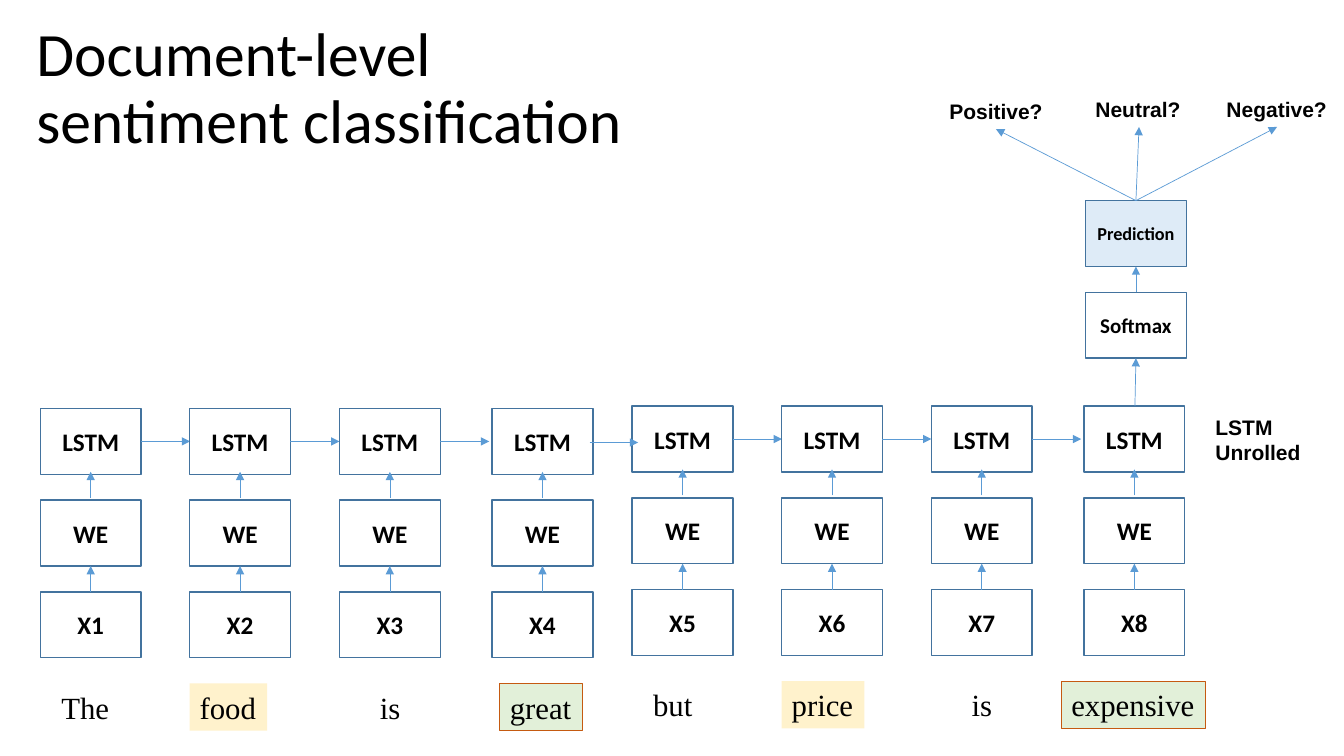
from lxml.etree import SubElement
from pptx import Presentation
from pptx.dml.color import RGBColor
from pptx.enum.shapes import MSO_CONNECTOR as Link, MSO_SHAPE as Shape
from pptx.enum.text import MSO_ANCHOR as Anchor, MSO_AUTO_SIZE as Fit, PP_ALIGN as Align
from pptx.oxml.ns import qn
from pptx.util import Pt

HUES = {
    "ink": "000000", "edge": "43739E", "arrow": "5B9BD5", "rust": "C55A11",
    "cream": "FFF2CC", "mint": "E2F0D9", "sky": "DEEBF7",
}
WIDE, HIGH = 72, 47      # box size
TOP, STEP = 291.8, 65.5  # first row of boxes, and the distance between rows
COLS = [28.8, 135.5, 242.5, 351.5]
HALVES = [(0, 0), (422.8, -1.7)]  # shift of each half of the sentence
WORDS = [  # text, left, width, fill, line
    [("The", 36.7, 49, None, None), ("food", 135.5, 55.4, "cream", None),
     ("is", 264.2, 29.5, None, None), ("great", 357.1, 59, "mint", "rust")],
    [("but", 459.4, 43.2, None, None), ("price", 558.4, 59, "cream", None),
     ("is", 686.9, 29.5, None, None), ("expensive", 758.2, 103, "mint", "rust")],
]
LABELS = [  # text, left, top, width, height
    ("LSTM\nUnrolled", 861.1, 292.3, 80, 44),
    ("Positive?", 671, 67, 82, 25.2),
    ("Neutral?", 775.4, 65.5, 76.3, 25.2),
    ("Negative?", 869, 65.5, 87.1, 25.2),
]


def hue(name):
    return RGBColor.from_string(HUES[name])


def style(font, look):
    for key, value in look.items():
        setattr(font, key, value)
    font.color.rgb = hue("ink")


def write(frame, text, look, **form):
    """Fill a text frame; form holds the frame's own settings."""
    frame.text = text
    for key, value in form.items():
        setattr(frame, key, value)
    for para in frame.paragraphs:
        for run in para.runs:
            style(run.font, look)


def paint(shape, fill, line, width):
    if fill:
        shape.fill.solid()
        shape.fill.fore_color.rgb = hue(fill)
    else:
        shape.fill.background()
    if line:
        shape.line.color.rgb = hue(line)
        shape.line.width = Pt(width)
    else:
        shape.line.fill.background()


def add_title(slide, text):
    title = slide.shapes.title
    place = {"left": 18.7, "top": 12.2, "width": 828, "height": 104.4}
    for key, value in place.items():
        setattr(title, key, Pt(value))
    write(title.text_frame, text, {"name": "Calibri", "size": Pt(44)},
          vertical_anchor=Anchor.MIDDLE, auto_size=Fit.NONE, word_wrap=True)
    para = title.text_frame.paragraphs[0]
    para.alignment, para.line_spacing = Align.LEFT, 0.9


def add_box(slide, text, left, top, size=18, fill=None):
    box = slide.shapes.add_shape(
        Shape.RECTANGLE, Pt(left), Pt(top), Pt(WIDE), Pt(HIGH))
    box.shadow.inherit = False
    paint(box, fill, "edge", 1)
    write(box.text_frame, text,
          {"name": "Calibri", "size": Pt(size), "bold": True},
          vertical_anchor=Anchor.MIDDLE, word_wrap=True)
    box.text_frame.paragraphs[0].alignment = Align.CENTER


def add_text(slide, text, place, look, fill=None, line=None, wrap=False):
    box = slide.shapes.add_textbox(*map(Pt, place))
    paint(box, fill, line, 0.75)
    write(box.text_frame, text, look, word_wrap=wrap,
          auto_size=Fit.SHAPE_TO_FIT_TEXT)


def add_arrow(slide, *ends):
    arrow = slide.shapes.add_connector(Link.STRAIGHT, *map(Pt, ends))
    arrow.line.color.rgb = hue("arrow")
    arrow.line.width = Pt(0.5)
    SubElement(arrow.line._get_or_add_ln(), qn("a:tailEnd"), type="triangle")
    SubElement(arrow._element.spPr, qn("a:effectLst"))


def add_half(slide, half):
    """Draw four columns of the network with their words."""
    dx, dy = HALVES[half]
    top = TOP + dy
    for i, (col, word) in enumerate(zip(COLS, WORDS[half])):
        left = col + dx
        mid = left + WIDE / 2
        for row, name in enumerate(["LSTM", "WE", f"X{4 * half + i + 1}"]):
            add_box(slide, name, left, top + row * STEP)
        for base in (top + 131, top + 63.7):
            add_arrow(slide, mid, base, mid, base - 18.5)
        if i < 3:
            flow = top + HIGH / 2
            add_arrow(slide, left + WIDE, flow, left + WIDE + 35, flow)
        text, x, width, fill, line = word
        add_text(slide, text, (x, 488.2 + dy, width, 33.8),
                 {"name": "Times New Roman", "size": Pt(22)}, fill, line)


def add_output(slide):
    """Draw the boxes and arrows above the last column."""
    left, mid = 775.4, 811.4
    add_box(slide, "Softmax", left, 208.8, 15)
    add_box(slide, "Prediction", left, 143.3, 13, "sky")
    add_arrow(slide, 810.7, 290.1, mid, 255.8)
    add_arrow(slide, mid, 208.8, mid, 190.3)
    for x, y in [(711.4, 92.2), (813.6, 90.7), (912.2, 90.7)]:
        add_arrow(slide, mid, 143.3, x, y)


def main():
    deck = Presentation()
    deck.slide_width, deck.slide_height = Pt(960), Pt(540)
    slide = deck.slides.add_slide(deck.slide_layouts[5])
    add_title(slide, "Document-level \vsentiment classification")
    for half in range(2):
        add_half(slide, half)
    add_arrow(slide, 421.2, 316.1, 455.8, 316.1)
    add_output(slide)
    for text, *place in LABELS:
        add_text(slide, text, place,
                 {"name": "Arial", "size": Pt(15), "bold": True},
                 wrap="\n" in text)
    deck.save("out.pptx")


if __name__ == "__main__":
    main()
